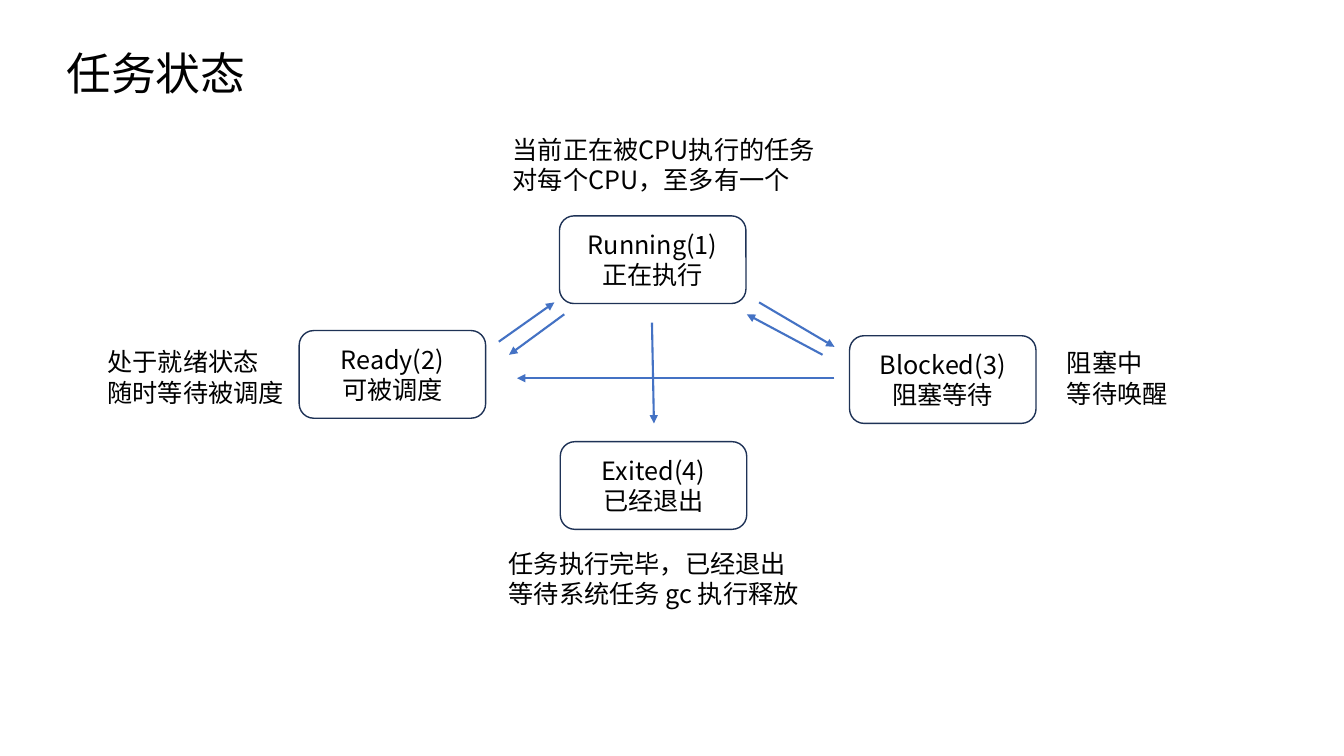
from pptx import Presentation
from pptx import util as u
from pptx.dml import color
from pptx.enum import shapes, text
from pptx.oxml import ns
from lxml import etree

COLORS = {"ink": "000000", "paper": "FFFFFF", "border": "1E3256", "arrow": "4472C4"}
FONT = "Noto Sans CJK SC"
STATE_W, STATE_H = 4.7, 2.21
CAPTION_H = 1.8

STATES = [
    (11.64, 2.19, ["Running(1)", "正在执行"]),
    (11.66, 7.88, ["Exited(4)", "已经退出"]),
    (5.08, 5.08, ["Ready(2)", "可被调度"]),
    (18.95, 5.21, ["Blocked(3)", "阻塞等待"]),
]
TRANSITIONS = [
    (13.97, 4.88, 14.02, 7.42),
    (16.67, 4.37, 18.57, 5.49),
    (10.11, 5.36, 11.51, 4.37),
    (11.76, 4.67, 10.37, 5.69),
    (18.27, 5.69, 16.36, 4.67),
    (18.57, 6.28, 10.57, 6.28),
]
CAPTIONS = [
    (10.21, 0, 8.31, ["当前正在被CPU执行的任务", "对每个CPU，至多有一个"]),
    (10.11, 10.44, 8.31, ["任务执行完毕，已经退出", "等待系统任务 gc 执行释放"]),
    (24.18, 5.39, 3.4, ["阻塞中", "等待唤醒"]),
    (0, 5.36, 5.26, ["处于就绪状态", "随时等待被调度"]),
]


def rgb(role):
    return color.RGBColor.from_string(COLORS[role])


def write_lines(frame, lines, size, align):
    frame.word_wrap = True
    for i, line in enumerate(lines):
        paragraph = frame.paragraphs[0] if i == 0 else frame.add_paragraph()
        paragraph.alignment = align
        run = paragraph.add_run()
        run.text = line
        run.font.size = u.Pt(size)
        run.font.name = FONT
        run.font.color.rgb = rgb("ink")
        east_asian = etree.SubElement(run.font._element, ns.qn("a:ea"))
        east_asian.set("typeface", FONT)


def add_words(slide, left, top, width, height, lines, size=18):
    words = slide.shapes.add_textbox(u.Cm(left), u.Cm(top), u.Cm(width), u.Cm(height))
    words.text_frame.auto_size = text.MSO_AUTO_SIZE.SHAPE_TO_FIT_TEXT
    write_lines(words.text_frame, lines, size, text.PP_ALIGN.LEFT)


def add_state(slide, left, top, lines):
    state = slide.shapes.add_shape(
        shapes.MSO_SHAPE.ROUNDED_RECTANGLE,
        u.Cm(left), u.Cm(top), u.Cm(STATE_W), u.Cm(STATE_H))
    state.shadow.inherit = False
    state.fill.solid()
    state.fill.fore_color.rgb = rgb("paper")
    state.line.color.rgb = rgb("border")
    state.line.width = u.Pt(1)
    state.text_frame.vertical_anchor = text.MSO_ANCHOR.MIDDLE
    write_lines(state.text_frame, lines, 18, text.PP_ALIGN.CENTER)


def add_transition(slide, x1, y1, x2, y2):
    arrow = slide.shapes.add_connector(
        shapes.MSO_CONNECTOR.STRAIGHT, u.Cm(x1), u.Cm(y1), u.Cm(x2), u.Cm(y2))
    arrow.line.color.rgb = rgb("arrow")
    arrow.line.width = u.Pt(1.5)
    properties = arrow._element.spPr
    outline = properties.find(ns.qn("a:ln"))
    etree.SubElement(outline, ns.qn("a:tailEnd")).set("type", "triangle")
    etree.SubElement(properties, ns.qn("a:effectLst"))


def title(slide, left, top, width, height):
    add_words(slide, left, top, width, height, ["任务状态"], 32)


def state_diagram(slide, left, top):
    for x, y, lines in STATES:
        add_state(slide, left + x, top + y, lines)
    for x1, y1, x2, y2 in TRANSITIONS:
        add_transition(slide, left + x1, top + y1, left + x2, top + y2)
    for x, y, width, lines in CAPTIONS:
        add_words(slide, left + x, top + y, width, CAPTION_H, lines)


deck = Presentation()
deck.slide_width, deck.slide_height = u.Cm(33.87), u.Cm(19.05)
task_states = deck.slides.add_slide(deck.slide_layouts[6])
title(task_states, 1.42, 1.02, 27.69, 1.63)
state_diagram(task_states, 2.46, 3.25)
deck.save("out.pptx")
